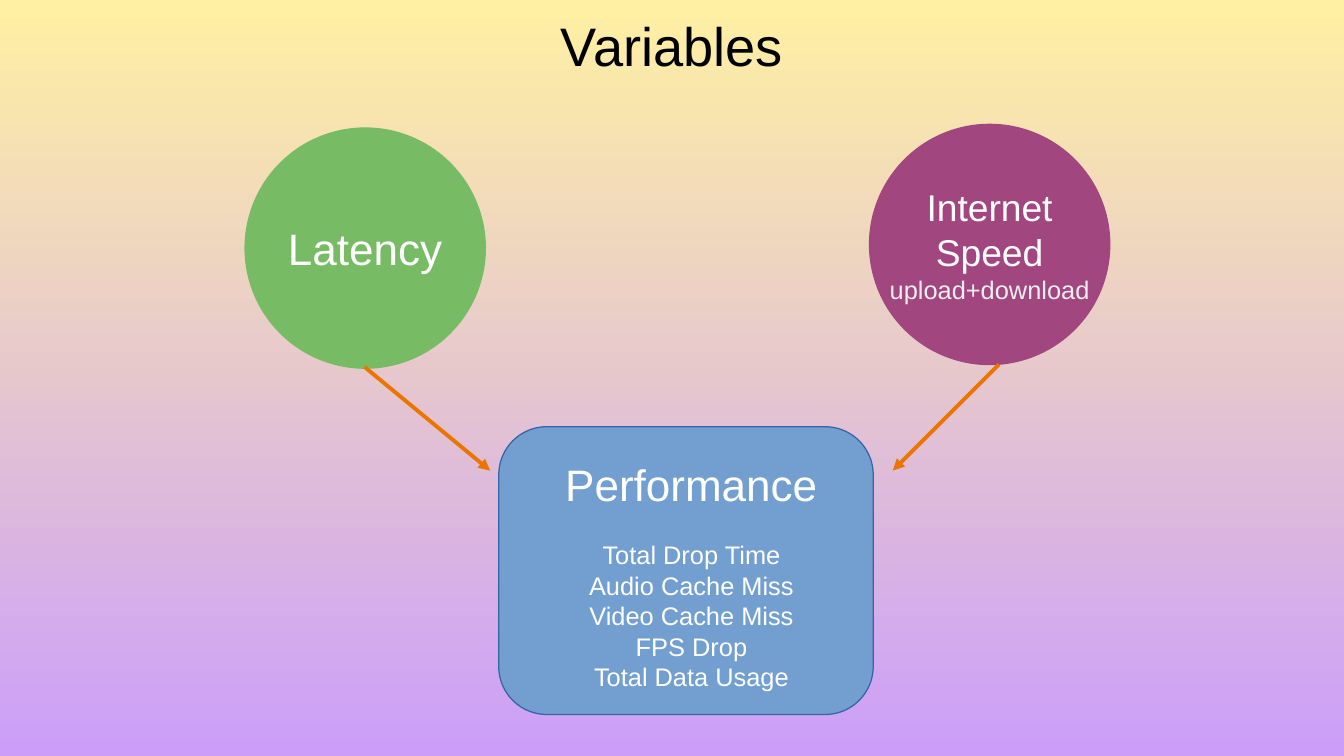
from dataclasses import dataclass

import pptx
import pptx.dml.color
import pptx.enum.shapes
import pptx.enum.text
import pptx.oxml
import pptx.oxml.ns
import pptx.util
from pptx.util import Inches

SHAPES = pptx.enum.shapes.MSO_SHAPE
ANCHOR = pptx.enum.text.MSO_ANCHOR


@dataclass(frozen=True)
class Theme:
    font: str = "Arial"
    sky: str = "FFF0A3"
    ground: str = "CC9EF9"
    black: str = "000000"
    white: str = "FFFFFF"
    soft_white: str = "EEEEEE"
    green: str = "77BC65"
    plum: str = "A1467E"
    blue: str = "729FCF"
    blue_edge: str = "3465A4"
    orange: str = "EA7500"
    title: float = 32
    heading: float = 26
    subheading: float = 22
    detail: float = 15
    arrow: float = 2.3


THEME = Theme()


@dataclass(frozen=True)
class Line:
    text: str
    size: float
    color: str = THEME.white
    before: float = 0


@dataclass(frozen=True)
class Circle:
    left: float
    top: float
    color: str
    lines: tuple[Line, ...]


@dataclass(frozen=True)
class Arrow:
    start: tuple[float, float]
    end: tuple[float, float]


DIAMETER = 1.97
CIRCLES = (
    Circle(2.01, 1.05, THEME.green, (Line("Latency", THEME.heading),)),
    Circle(7.13, 1.02, THEME.plum, (
        Line("Internet", THEME.subheading),
        Line("Speed", THEME.subheading),
        Line("upload+download", THEME.detail, THEME.soft_white),
    )),
)
ARROWS = (
    Arrow((2.99, 3.01), (4.02, 3.86)),
    Arrow((8.19, 2.99), (7.32, 3.86)),
)
MEASURES = ("Total Drop Time", "Audio Cache Miss", "Video Cache Miss",
            "FPS Drop", "Total Data Usage")
MEASURE_GAP = 17.25


def rgb(color: str) -> pptx.dml.color.RGBColor:
    return pptx.dml.color.RGBColor.from_string(color)


def write_line(para, text: str, *, size: float, color: str, before: float = 0) -> None:
    para.alignment = pptx.enum.text.PP_ALIGN.CENTER
    para.space_before = pptx.util.Pt(before)
    span = para.add_run()
    span.text = text
    span.font.name = THEME.font
    span.font.size = pptx.util.Pt(size)
    span.font.color.rgb = rgb(color)


def write_lines(box, lines: tuple[Line, ...], *, anchor, wrap: bool = True,
                margins: tuple[float, float] = (0.1, 0.05)) -> None:
    frame = box.text_frame
    frame.word_wrap = wrap
    frame.vertical_anchor = anchor
    frame.margin_left = frame.margin_right = Inches(margins[0])
    frame.margin_top = frame.margin_bottom = Inches(margins[1])
    for index, line in enumerate(lines):
        para = frame.add_paragraph() if index else frame.paragraphs[0]
        write_line(para, line.text, size=line.size, color=line.color, before=line.before)


def draw_shape(page, kind, left: float, top: float, width: float, height: float,
               *, fill: str, edge: str):
    shape = page.shapes.add_shape(
        kind, Inches(left), Inches(top), Inches(width), Inches(height))
    shape.shadow.inherit = False
    shape.fill.solid()
    shape.fill.fore_color.rgb = rgb(fill)
    shape.line.color.rgb = rgb(edge)
    shape.line.width = pptx.util.Pt(0)
    return shape


def draw_circle(page, circle: Circle) -> None:
    shape = draw_shape(page, SHAPES.OVAL, circle.left, circle.top, DIAMETER, DIAMETER,
                       fill=circle.color, edge=circle.color)
    write_lines(shape, circle.lines, anchor=ANCHOR.MIDDLE, wrap=False)


def draw_arrow(page, arrow: Arrow) -> None:
    connector = page.shapes.add_connector(
        pptx.enum.shapes.MSO_CONNECTOR.STRAIGHT,
        *map(Inches, arrow.start), *map(Inches, arrow.end))
    connector.line.color.rgb = rgb(THEME.orange)
    connector.line.width = pptx.util.Pt(THEME.arrow)
    namespace = pptx.oxml.ns.nsdecls("a")
    connector.line._get_or_add_ln().append(
        pptx.oxml.parse_xml(f'<a:tailEnd {namespace} type="triangle"/>'))
    connector._element.spPr.append(pptx.oxml.parse_xml(f"<a:effectLst {namespace}/>"))


def draw_background(page) -> None:
    fill = page.background.fill
    fill.gradient()
    fill.gradient_angle = 270
    for stop, color in zip(fill.gradient_stops, (THEME.sky, THEME.ground)):
        stop.color.rgb = rgb(color)


def draw_title(page) -> None:
    title = page.shapes.title
    title.left, title.top = Inches(0.55), Inches(-0.15)
    title.width, title.height = Inches(9.92), Inches(1.04)
    write_lines(title, (Line("Variables", THEME.title, THEME.black),),
                anchor=ANCHOR.MIDDLE, margins=(0, 0))


def draw_performance(page) -> None:
    panel = draw_shape(page, SHAPES.ROUNDED_RECTANGLE, 4.09, 3.5, 3.07, 2.36,
                       fill=THEME.blue, edge=THEME.blue_edge)
    panel.adjustments[0] = 0.167
    box = page.shapes.add_textbox(Inches(4.49), Inches(3.7), Inches(2.36), Inches(2.17))
    measures = tuple(
        Line(text, THEME.detail, before=0 if index else MEASURE_GAP)
        for index, text in enumerate(MEASURES))
    write_lines(box, (Line("Performance", THEME.heading), *measures), anchor=ANCHOR.TOP)


def main() -> None:
    deck = pptx.Presentation()
    deck.slide_width, deck.slide_height = Inches(11.02), Inches(6.2)
    page = deck.slides.add_slide(deck.slide_layouts.get_by_name("Title Only"))

    # Background and title
    draw_background(page)
    draw_title(page)

    # Outcome panel
    draw_performance(page)

    # Factors and their influence
    for circle in CIRCLES:
        draw_circle(page, circle)
    for arrow in ARROWS:
        draw_arrow(page, arrow)

    deck.save("out.pptx")


if __name__ == "__main__":
    main()
